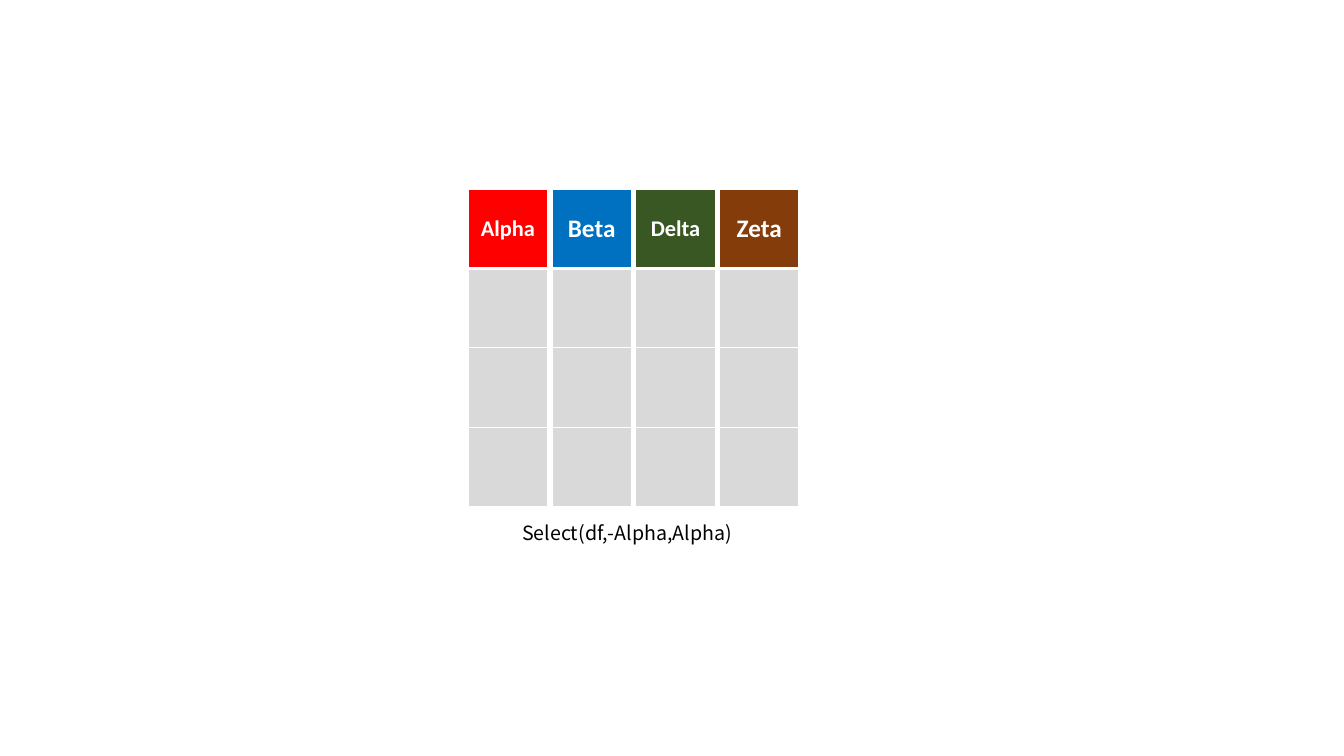
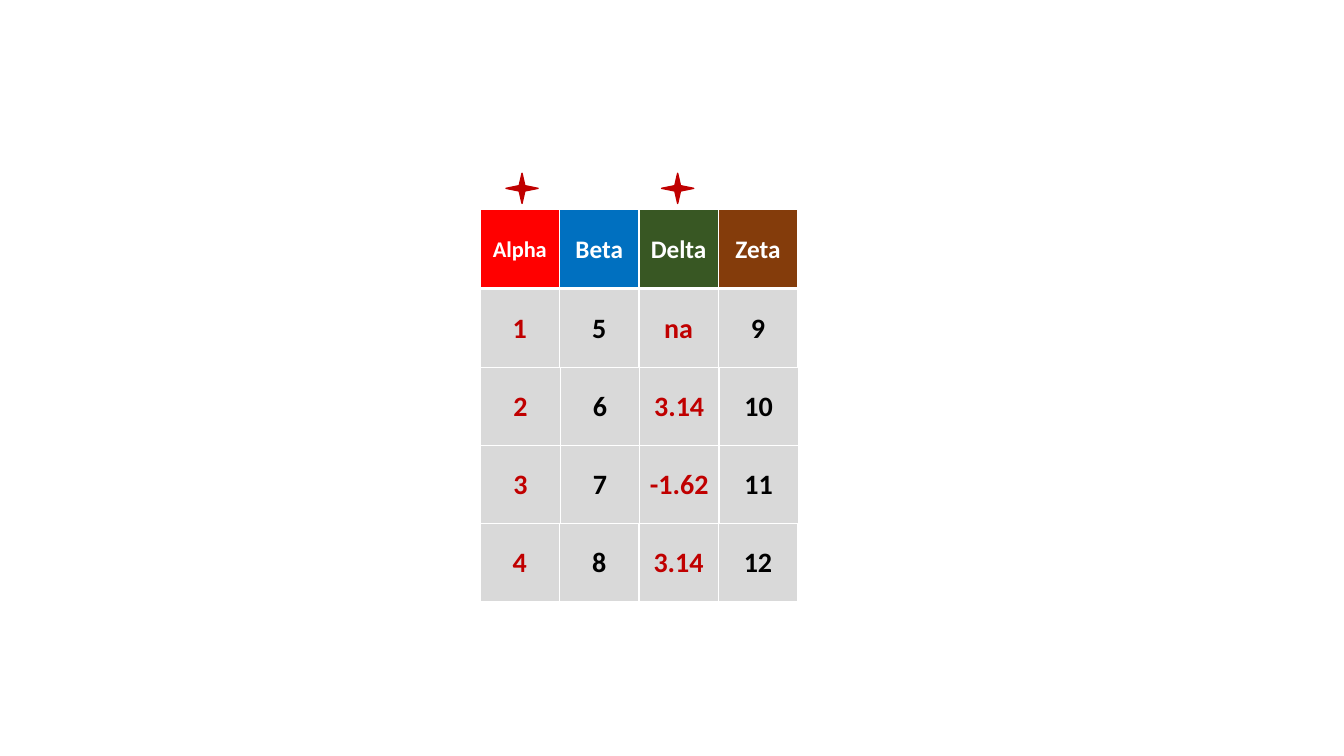
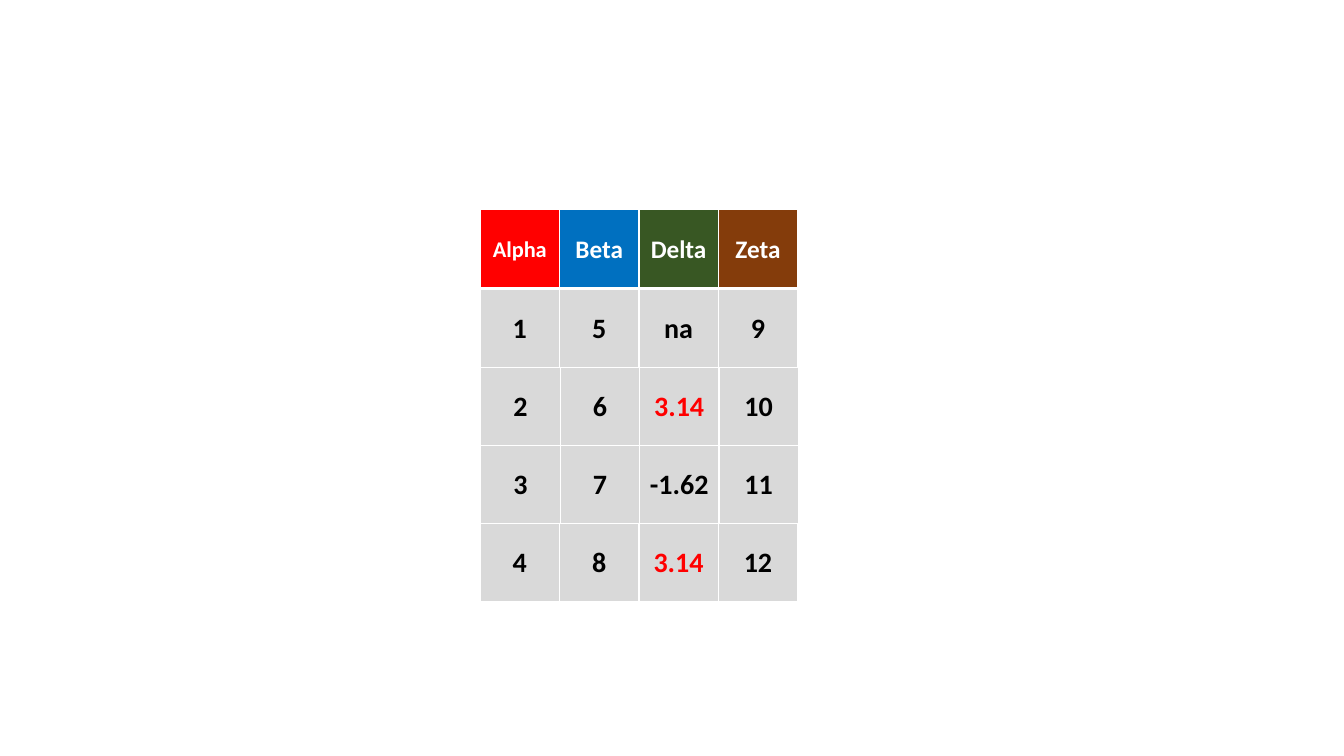
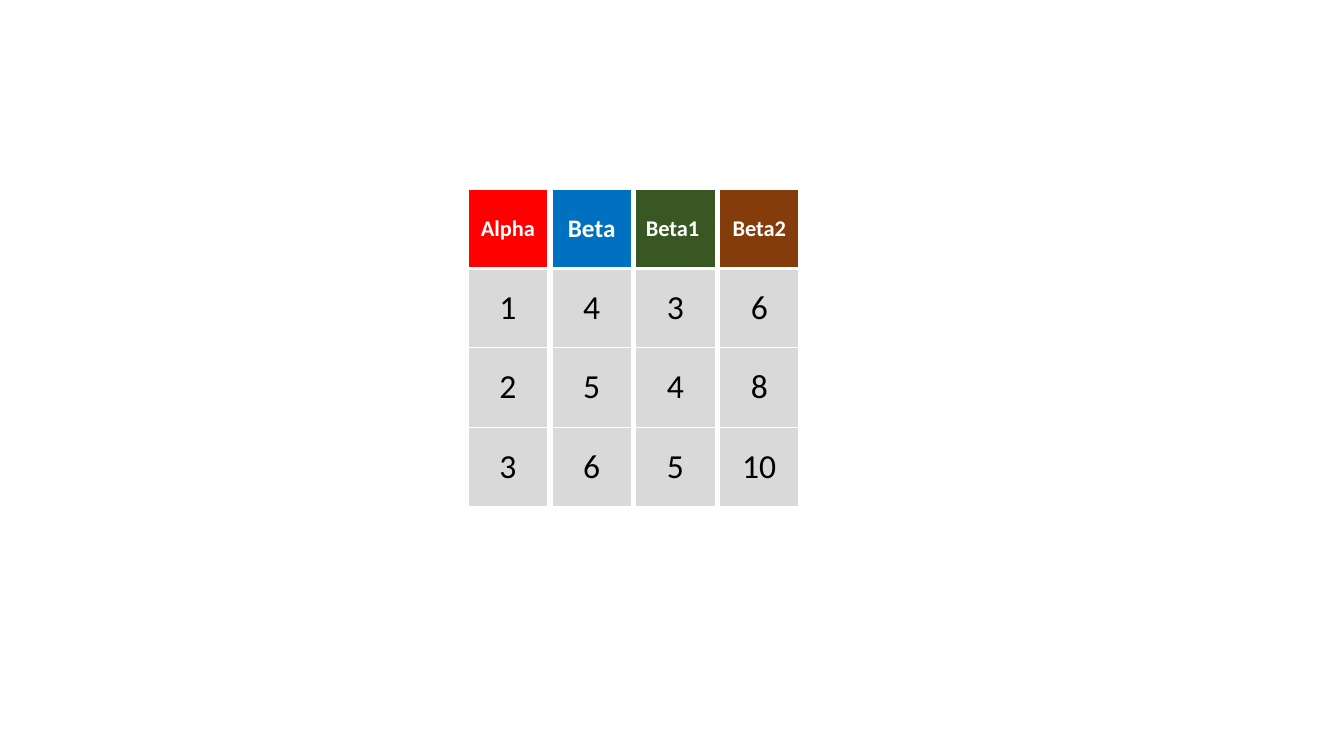
from lxml.etree import SubElement
from pptx import Presentation
from pptx.dml.color import RGBColor
from pptx.enum.shapes import MSO_SHAPE as Preset
from pptx.enum.text import MSO_ANCHOR as Anchor, MSO_AUTO_SIZE as AutoSize, PP_ALIGN as Align
from pptx.oxml.ns import qn
from pptx.util import Pt

# Lengths: 160 px to the inch
SCALE = 5715
CELL = 126

# Shared colours
WHITE, BLACK, GREY = "FFFFFF", "000000", "D9D9D9"
RED, DARK_RED = "FF0000", "C00000"
HEAD_FILLS = (RED, "0070C0", "385723", "843C0B")

# Grid of separate columns
COLUMN_LEFT, COLUMN_TOP, COLUMN_PITCH = 743, 300, 133

# Grid of separate rows; the middle rows sit one px to the right
HEAD_TOP, ROW_PITCH = 333, 124
ROW_LEFTS = (762, 763, 763, 762)
ROW_HEADS = (("Alpha", 16), ("Beta", 18), ("Delta", 18), ("Zeta", 18))
ROWS = (
    ("1", "5", "na", "9"),
    ("2", "6", "3.14", "10"),
    ("3", "7", "-1.62", "11"),
    ("4", "8", "3.14", "12"),
)


def px(length):
    return length * SCALE


def colour(code):
    return RGBColor.from_string(code)


class Deck:
    """Holds the style and the slide being filled."""

    head_style = {"name": "Calibri", "size": 18, "bold": True, "color": WHITE}
    value_style = {"name": "Calibri", "size": 20, "bold": True, "color": BLACK}
    plain_style = {"name": "Calibri", "size": 24, "bold": False, "color": BLACK}
    code_style = {"name": "Noto Sans CJK SC", "size": 14, "bold": False, "color": BLACK}

    def __init__(self):
        self.deck = Presentation()
        self.deck.slide_width, self.deck.slide_height = px(2133), px(1200)
        self.slide = None

    def new_slide(self):
        self.slide = self.deck.slides.add_slide(self.deck.slide_layouts[6])

    def add_text(self, frame, text, style, align=Align.LEFT):
        paragraph = frame.paragraphs[0]
        paragraph.alignment = align
        run = paragraph.add_run()
        run.text = text
        for key, value in style.items():
            if key == "color":
                run.font.color.rgb = colour(value)
            else:
                setattr(run.font, key, Pt(value) if key == "size" else value)

    def borders(self, cell, top, bottom):
        properties = cell._tc.get_or_add_tcPr()
        for side, points in {"L": 1, "R": 1, "T": top, "B": bottom}.items():
            line = SubElement(properties, qn(f"a:ln{side}"), w=str(Pt(points)))
            fill = SubElement(line, qn("a:solidFill"))
            SubElement(fill, qn("a:srgbClr"), val=WHITE)

    def cell(self, cell, text, fill, style, align=Align.CENTER, top=1, bottom=3):
        self.borders(cell, top, bottom)
        cell.fill.solid()
        cell.fill.fore_color.rgb = colour(fill)
        cell.vertical_anchor = Anchor.MIDDLE
        if text:
            self.add_text(cell.text_frame, text, style, align)

    def grid(self, rows, columns, left, top):
        table = self.slide.shapes.add_table(
            rows, columns, px(left), px(top), px(columns * CELL), px(rows * CELL)
        ).table
        table.first_row = table.horz_banding = False
        return table

    def column(self, index, head, size, values, align=Align.CENTER):
        left = COLUMN_LEFT + index * COLUMN_PITCH
        table = self.grid(1 + len(values), 1, left, COLUMN_TOP)
        self.cell(table.cell(0, 0), head, HEAD_FILLS[index],
                  self.head_style | {"size": size}, align)
        for row, value in enumerate(values, 1):
            self.cell(table.cell(row, 0), value, GREY, self.plain_style,
                      top=3 if row == 1 else 1, bottom=1)

    def row(self, left, top, entries):
        table = self.grid(1, len(entries), left, top)
        for index, (text, fill, style) in enumerate(entries):
            self.cell(table.cell(0, index), text, fill, style)

    def data_rows(self, is_marked, mark_colour):
        self.row(ROW_LEFTS[0], HEAD_TOP, [
            (head, fill, self.head_style | {"size": size})
            for (head, size), fill in zip(ROW_HEADS, HEAD_FILLS)
        ])
        for number, (left, values) in enumerate(zip(ROW_LEFTS, ROWS)):
            self.row(left, HEAD_TOP + CELL + number * ROW_PITCH, [
                (value, GREY, self.value_style
                 | {"color": mark_colour if is_marked(index, value) else BLACK})
                for index, value in enumerate(values)
            ])

    def star(self, left, top):
        star = self.slide.shapes.add_shape(Preset.STAR_4_POINT, px(left), px(top), px(51), px(48))
        star.shadow.inherit = False
        star.fill.solid()
        star.fill.fore_color.rgb = star.line.color.rgb = colour(DARK_RED)
        star.line.width = Pt(1)

    def caption(self, text, left, top, width, height):
        frame = self.slide.shapes.add_textbox(px(left), px(top), px(width), px(height)).text_frame
        frame.word_wrap = True
        frame.auto_size = AutoSize.SHAPE_TO_FIT_TEXT
        self.add_text(frame, text, self.code_style)


def main():
    deck = Deck()

    # Slide 1: selecting columns
    deck.new_slide()
    for index, (head, size) in enumerate((("Alpha", 16), ("Beta", 18), ("Delta", 16), ("Zeta", 18))):
        deck.column(index, head, size, ("", "", ""))
    deck.caption("Select(df,-Alpha,Alpha)", 813, 819, 731, 54)

    # Slide 2: starred columns
    deck.new_slide()
    deck.data_rows(lambda index, value: index in (0, 2), DARK_RED)
    for left in (803, 1050):
        deck.star(left, 275)

    # Slide 3: repeated value
    deck.new_slide()
    deck.data_rows(lambda index, value: value == "3.14", RED)

    # Slide 4: derived columns
    deck.new_slide()
    derived = (
        ("Alpha", 16, ("1", "2", "3"), Align.CENTER),
        ("Beta", 18, ("4", "5", "6"), Align.CENTER),
        ("Beta1", 16, ("3", "4", "5"), Align.LEFT),
        ("Beta2", 16, ("6", "8", "10"), Align.CENTER),
    )
    for index, column in enumerate(derived):
        deck.column(index, *column)

    deck.deck.save("out.pptx")


if __name__ == "__main__":
    main()
